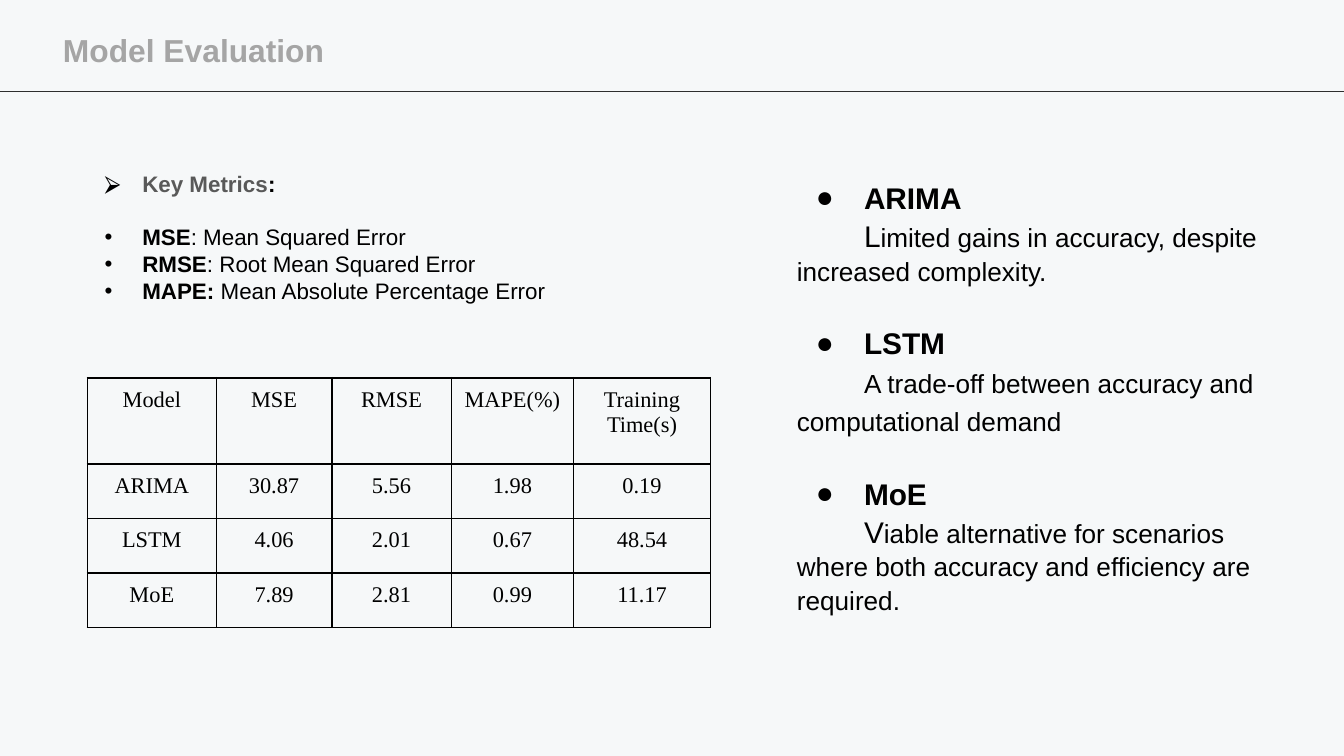
"""Build the Model Evaluation slide with metrics, a results table and findings."""
from lxml.etree import SubElement
from pptx import Presentation
from pptx.dml.color import RGBColor
from pptx.enum.shapes import MSO_CONNECTOR
from pptx.enum.text import MSO_ANCHOR, PP_ALIGN
from pptx.oxml.ns import qn
from pptx.util import Cm, Pt

BACKGROUND = RGBColor(0xF6, 0xF8, 0xF9)
RULE = RGBColor(0x2E, 0x2E, 0x2E)
TITLE = RGBColor(0xA5, 0xA5, 0xA5)
HEADING = RGBColor(0x59, 0x59, 0x59)
BLACK = RGBColor(0, 0, 0)


def add_text_box(left, top, width, height):
    text_frame = slide.shapes.add_textbox(Cm(left), Cm(top), Cm(width), Cm(height)).text_frame
    text_frame.word_wrap = True
    return text_frame


def add_paragraph(text_frame, runs, margin=0, indent=0, bullet=None, before=0, spacing=1.0):
    first = text_frame.paragraphs[0]
    paragraph = text_frame.add_paragraph() if first.runs else first
    properties = paragraph._p.get_or_add_pPr()
    properties.set("marL", str(Cm(margin)))
    properties.set("indent", str(Cm(indent)))
    if bullet:
        color = SubElement(properties, qn("a:buClr"))
        SubElement(color, qn("a:srgbClr"), val=str(BLACK))
        SubElement(properties, qn("a:buFont"), typeface="Arial")
        SubElement(properties, qn("a:buChar"), char=bullet)
    paragraph.line_spacing = spacing
    paragraph.space_before = Pt(before)
    for text, size, bold, color in runs:
        run = paragraph.add_run()
        run.text = text
        run.font.name = "Arial"
        run.font.size = Pt(size)
        run.font.bold = bold
        run.font.color.rgb = color


presentation = Presentation()
presentation.slide_width = Cm(25.4)
presentation.slide_height = Cm(14.29)
slide = presentation.slides.add_slide(presentation.slide_layouts[6])
slide.background.fill.solid()
slide.background.fill.fore_color.rgb = BACKGROUND

header_rule = slide.shapes.add_connector(
    MSO_CONNECTOR.STRAIGHT, Cm(25.4), Cm(1.73), Cm(0), Cm(1.73))
header_rule.line.color.rgb = RULE
header_rule.line.width = Pt(0.75)
SubElement(header_rule._element.spPr, qn("a:effectLst"))

findings = [
    ("ARIMA", "L", "imited gains in accuracy, despite increased complexity.", 1.06),
    ("LSTM", "", "A trade-off between accuracy and computational demand", 1.21),
    ("MoE", "V", "iable alternative for scenarios where both accuracy and efficiency are required.", 1.06),
]
findings_frame = add_text_box(14.81, 3.23, 9.42, 8.66)
for index, (model, initial, finding, spacing) in enumerate(findings):
    add_paragraph(findings_frame, [(model, 16, True, BLACK)], 1.27, -0.91, "●",
                  before=19.5 if index else 0, spacing=1.06)
    runs = [(initial, 16, False, BLACK)] if initial else []
    add_paragraph(findings_frame, runs + [(finding, 14, False, BLACK)],
                  indent=1.27, spacing=spacing)

title_frame = add_text_box(1.19, 0.58, 8.99, 0.74)
title_frame.margin_left = title_frame.margin_right = Cm(0)
title_frame.margin_top = title_frame.margin_bottom = Cm(0)
title_frame.vertical_anchor = MSO_ANCHOR.MIDDLE
add_paragraph(title_frame, [("Model Evaluation", 17, True, TITLE)])

results = [
    ("Model", "MSE", "RMSE", "MAPE(%)", "Training Time(s)"),
    ("ARIMA", "30.87", "5.56", "1.98", "0.19"),
    ("LSTM", "4.06", "2.01", "0.67", "48.54"),
    ("MoE", "7.89", "2.81", "0.99", "11.17"),
]
column_widths = [2.44, 2.18, 2.26, 2.31, 2.59]
row_heights = [1.63, 1.03, 1.03, 1.03]
table = slide.shapes.add_table(
    len(results), len(column_widths), Cm(1.65), Cm(7.14),
    Cm(sum(column_widths)), Cm(sum(row_heights))).table
table.first_row = False
table.horz_banding = False
for column, width in zip(table.columns, column_widths):
    column.width = Cm(width)
for row, height, values in zip(table.rows, row_heights, results):
    row.height = Cm(height)
    for cell, value in zip(row.cells, values):
        cell.margin_left = cell.margin_right = Cm(0.18)
        cell.margin_top = cell.margin_bottom = Cm(0.18)
        cell.text_frame.text = value
        paragraph = cell.text_frame.paragraphs[0]
        paragraph.alignment = PP_ALIGN.CENTER
        font = paragraph.runs[0].font
        font.name = "Times New Roman"
        font.size = Pt(12)
        font.color.rgb = BLACK
        cell_properties = cell._tc.get_or_add_tcPr()
        for side in ("a:lnL", "a:lnR", "a:lnT", "a:lnB"):
            border = SubElement(cell_properties, qn(side), w=str(Pt(1)))
            border_fill = SubElement(border, qn("a:solidFill"))
            SubElement(border_fill, qn("a:srgbClr"), val=str(BLACK))
        cell.fill.background()

metrics = [
    ("MSE", ": Mean Squared Error"),
    ("RMSE", ": Root Mean Squared Error"),
    ("MAPE: ", "Mean Absolute Percentage Error"),
]
metrics_frame = add_text_box(1.65, 3.1, 10.72, 2.82)
add_paragraph(metrics_frame, [("Key Metrics", 12, True, HEADING), (":", 12, True, BLACK)],
              0.79, -0.71, "⮚")
for index, (name, meaning) in enumerate(metrics):
    add_paragraph(metrics_frame, [(name, 12, True, BLACK), (meaning, 12, False, BLACK)],
                  0.79, -0.71, "•", before=0 if index else 13.8)

presentation.save("out.pptx")
